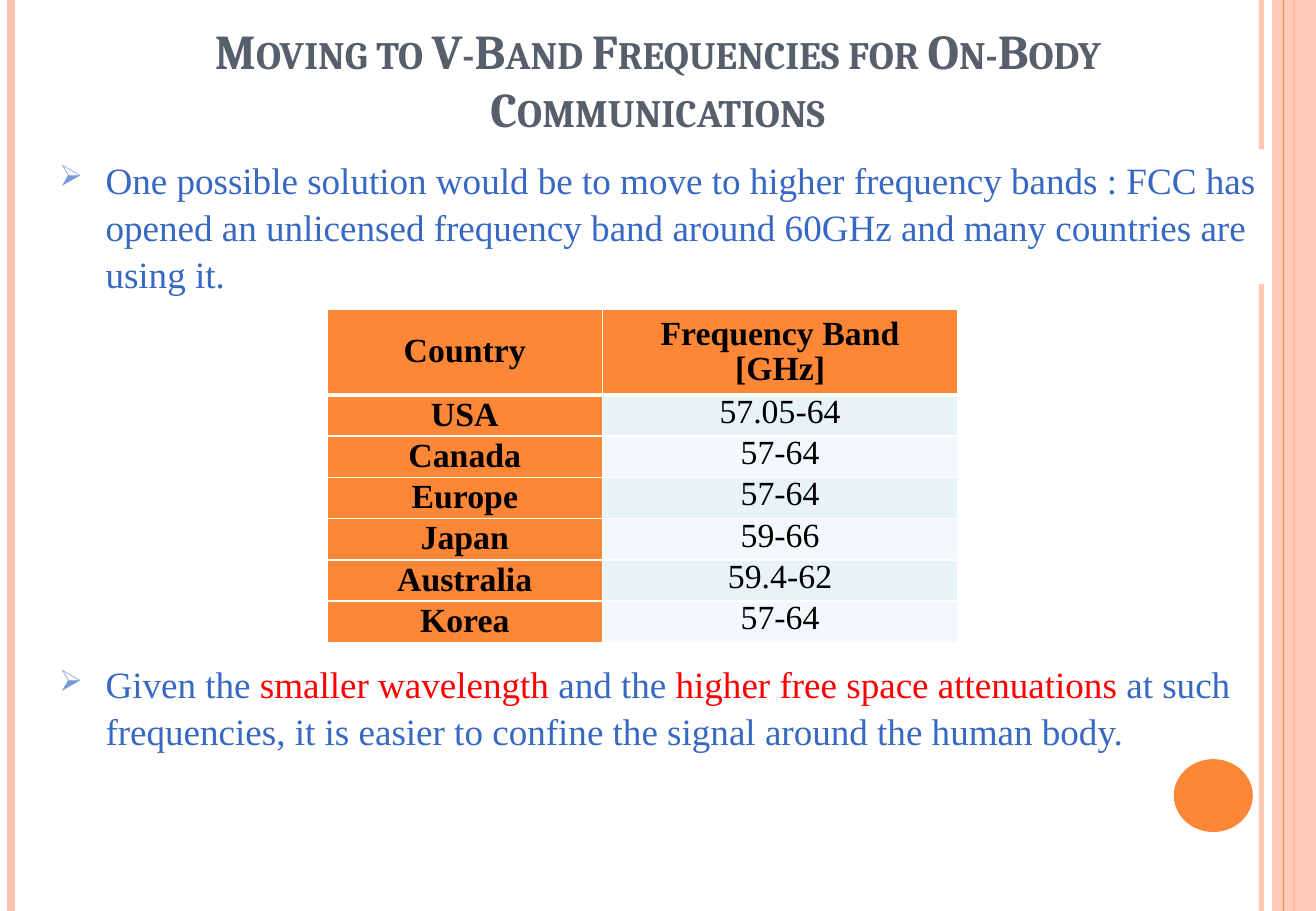
from lxml import etree
from pptx import Presentation
from pptx.dml.color import RGBColor
from pptx.enum.shapes import MSO_CONNECTOR, MSO_SHAPE
from pptx.enum.text import MSO_ANCHOR, MSO_AUTO_SIZE, PP_ALIGN
from pptx.oxml.ns import qn
from pptx.util import Inches, Pt

RECT, OVAL = MSO_SHAPE.RECTANGLE, MSO_SHAPE.OVAL
STRAIGHT = MSO_CONNECTOR.STRAIGHT
TOP, MIDDLE, BOTTOM = MSO_ANCHOR.TOP, MSO_ANCHOR.MIDDLE, MSO_ANCHOR.BOTTOM
CENTER = PP_ALIGN.CENTER
NO_AUTOFIT = MSO_AUTO_SIZE.NONE

WHITE = RGBColor(0xFF, 0xFF, 0xFF)
BLACK = RGBColor(0, 0, 0)
RED = RGBColor(0xFF, 0, 0)
BLUE = RGBColor(0x36, 0x68, 0xC4)
BULLET_BLUE = RGBColor(0x75, 0x98, 0xD9)
SLATE = RGBColor(0x57, 0x5F, 0x6D)
ORANGE = RGBColor(0xFE, 0x86, 0x37)
PEACH = RGBColor(0xFE, 0xC3, 0xAE)
BAND_DARK = RGBColor(0xE7, 0xF3, 0xF4)
BAND_LIGHT = RGBColor(0xF3, 0xF9, 0xFA)

TITLE_FONT, BODY_FONT = "Cambria", "Times New Roman"
SLIDE_W, SLIDE_H = 10.83, 7.5

BANDS = [
    ("Country", "Frequency Band [GHz]"),
    ("USA", "57.05-64"),
    ("Canada", "57-64"),
    ("Europe", "57-64"),
    ("Japan", "59-66"),
    ("Australia", "59.4-62"),
    ("Korea", "57-64"),
]


def sub(parent, tag, **attrs):
    """Append a DrawingML child element."""
    return etree.SubElement(parent, qn(tag), attrs)


def set_alpha(element, percent):
    for color in element.iter(qn("a:srgbClr")):
        sub(color, "a:alpha", val=str(percent * 1000))


def add_run(p, text, size=22, font=BODY_FONT, color=BLUE, bold=False, small_caps=False):
    r = p.add_run()
    r.text = text
    r.font.size = Pt(size)
    r.font.name = font
    r.font.color.rgb = color
    r.font.bold = bold
    if small_caps:
        r.font._element.set("cap", "small")


def add_border(cell, side, width):
    ln = sub(cell._tc.get_or_add_tcPr(), f"a:ln{side}", w=str(Pt(width)))
    sub(sub(ln, "a:solidFill"), "a:srgbClr", val=str(WHITE))


class SlideBuilder:
    def __init__(self, prs):
        self.slide = prs.slides.add_slide(prs.slide_layouts[5])
        self.shapes = self.slide.shapes

    def title(self, text, x, y, w, h):
        sp = self.shapes.title
        sp.left, sp.top, sp.width, sp.height = map(Inches, (x, y, w, h))
        tf = sp.text_frame
        tf.auto_size = NO_AUTOFIT
        tf.word_wrap = True
        tf.vertical_anchor = BOTTOM
        p = tf.paragraphs[0]
        p.alignment = CENTER
        add_run(p, text, size=28.8, font=TITLE_FONT, color=SLATE, bold=True, small_caps=True)

    def vertical_line(self, x, color, width, alpha=100):
        line = self.shapes.add_connector(
            STRAIGHT, Inches(x), Inches(0), Inches(x), Inches(SLIDE_H))
        line.line.color.rgb = color
        line.line.width = Pt(width)
        if alpha < 100:
            set_alpha(line._element, alpha)
        sub(line._element.spPr, "a:effectLst")

    def shape(self, kind, x, y, w, h, color, alpha=100):
        sp = self.shapes.add_shape(kind, *map(Inches, (x, y, w, h)))
        sp.shadow.inherit = False
        sp.fill.solid()
        sp.fill.fore_color.rgb = color
        sp.line.fill.background()
        if alpha < 100:
            set_alpha(sp._element.spPr, alpha)

    def bullet(self, runs, x, y, w, h):
        """Add a one-bullet text box from (text, color) pairs."""
        tf = self.shapes.add_textbox(*map(Inches, (x, y, w, h))).text_frame
        tf.word_wrap = True
        p = tf.paragraphs[0]
        p.line_spacing = 1.05
        pPr = p._p.get_or_add_pPr()
        pPr.set("marL", str(Inches(0.53)))
        pPr.set("indent", str(Inches(-0.38)))
        sub(sub(pPr, "a:buClr"), "a:srgbClr", val=str(BULLET_BLUE))
        sub(pPr, "a:buSzPct", val="80000")
        sub(pPr, "a:buChar", char="➢")
        for text, color in runs:
            add_run(p, text, color=color)

    def table(self, rows, x, y, col_widths, header_h, row_h):
        height = header_h + row_h * (len(rows) - 1)
        table = self.shapes.add_table(
            len(rows), len(col_widths), Inches(x), Inches(y),
            Inches(sum(col_widths)), Inches(height)).table
        for column, width in zip(table.columns, col_widths):
            column.width = Inches(width)
        for i, values in enumerate(rows):
            table.rows[i].height = Inches(row_h if i else header_h)
            for j, text in enumerate(values):
                self.cell(table.cell(i, j), text, i, is_header=i == 0 or j == 0)

    def cell(self, cell, text, row, is_header):
        cell.margin_left = cell.margin_right = Inches(0.08)
        cell.margin_top = cell.margin_bottom = Inches(0)
        cell.vertical_anchor = MIDDLE if is_header else TOP
        widths = {"L": 1, "R": 1, "T": 3 if row == 1 else 1, "B": 3 if row == 0 else 1}
        for side, width in widths.items():
            add_border(cell, side, width)
        band = BAND_DARK if row % 2 else BAND_LIGHT
        cell.fill.solid()
        cell.fill.fore_color.rgb = ORANGE if is_header else band
        p = cell.text_frame.paragraphs[0]
        p.alignment = CENTER
        p.line_spacing = 0.95
        add_run(p, text, size=20, color=BLACK, bold=is_header)


def main():
    prs = Presentation()
    prs.slide_width, prs.slide_height = Inches(SLIDE_W), Inches(SLIDE_H)
    s = SlideBuilder(prs)

    s.vertical_line(10.38, PEACH, 3, alpha=93)
    s.vertical_line(0.09, PEACH, 4.5)
    s.vertical_line(10.65, ORANGE, 1.5)
    s.shape(RECT, 10.47, 0, 0.36, SLIDE_H, PEACH, alpha=87)
    s.vertical_line(10.56, ORANGE, 0.75)
    s.shape(OVAL, 9.66, 6.25, 0.65, 0.6, ORANGE)

    s.title("Moving to V-Band Frequencies for On-Body Communications", 0.54, 0.09, 9.75, 1.09)
    s.shape(RECT, 0.35, 1.23, 10.11, 1.11, WHITE)
    s.bullet([
        ("One possible solution would be to move to higher frequency bands : FCC has opened "
         "an unlicensed frequency band around 60GHz and many countries are using it.", BLUE),
    ], 0.24, 1.23, 10.31, 1.2)
    s.table(BANDS, 2.69, 2.55, (2.27, 2.92), header_h=0.7, row_h=0.34)
    s.bullet([
        ("Given the ", BLUE),
        ("smaller wavelength ", RED),
        ("and the ", BLUE),
        ("higher free space attenuations ", RED),
        ("at such frequencies, it is easier to confine the signal around the human body.", BLUE),
    ], 0.24, 5.38, 10.31, 0.85)

    prs.save("out.pptx")


if __name__ == "__main__":
    main()
